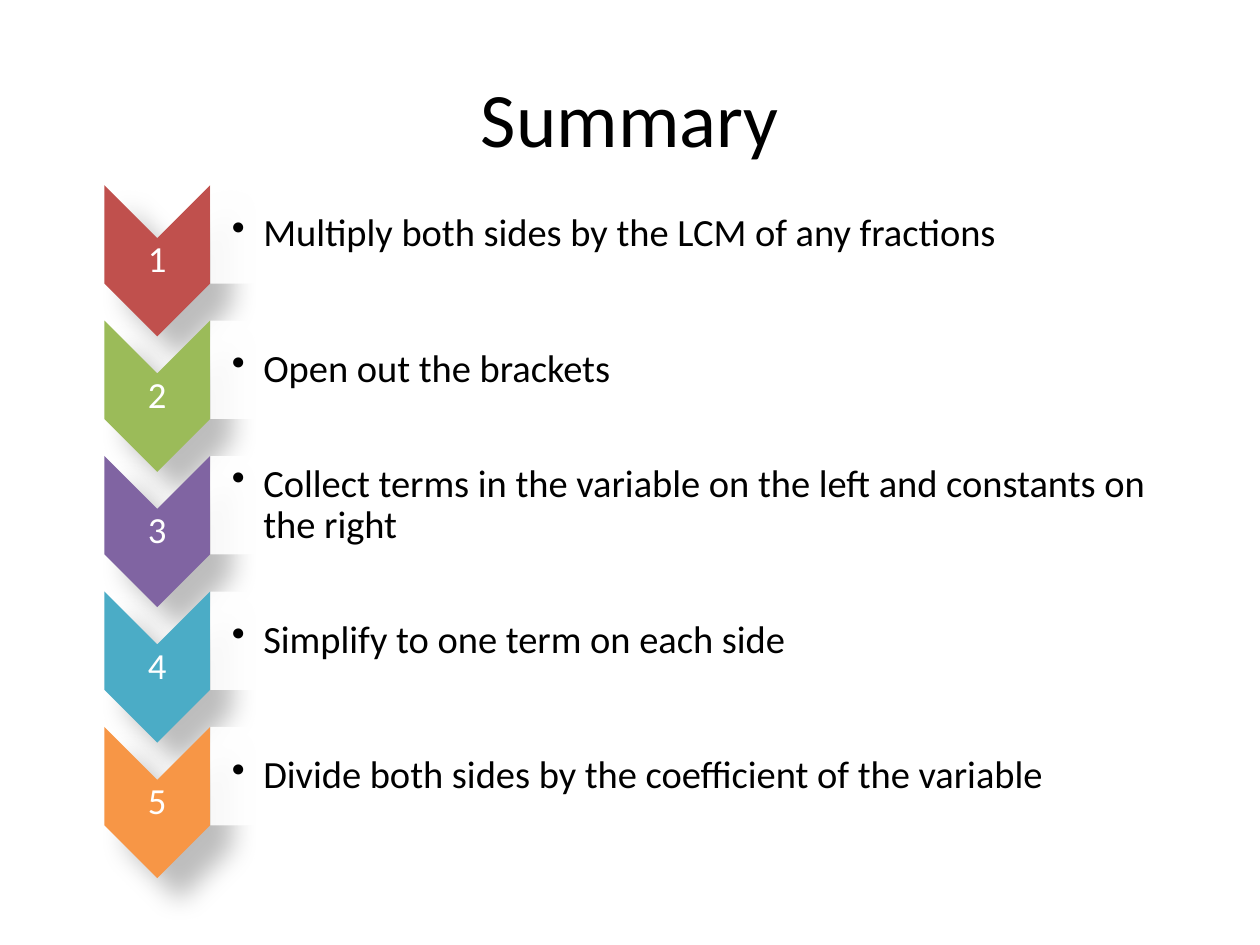
from dataclasses import dataclass

from lxml import etree
from pptx import Presentation
from pptx.dml.color import RGBColor
from pptx.enum.shapes import MSO_SHAPE
from pptx.enum.text import MSO_ANCHOR, PP_ALIGN
from pptx.oxml import parse_xml
from pptx.oxml.ns import nsdecls, qn
from pptx.util import Pt

CHEVRON = MSO_SHAPE.CHEVRON
ROUNDED = MSO_SHAPE.ROUND_2_SAME_RECTANGLE
MIDDLE = MSO_ANCHOR.MIDDLE
LEFT, CENTER = PP_ALIGN.LEFT, PP_ALIGN.CENTER


@dataclass(frozen=True)
class Theme:
    font: str = "Calibri"
    ink: str = "000000"
    paper: str = "FFFFFF"
    steps: tuple = ("C0504D", "9BBB59", "8064A2", "4BACC6", "F79646")
    title: float = 44
    body: float = 22
    label: float = 21


STEPS = (
    "Multiply both sides by the LCM of any fractions",
    "Open out the brackets",
    "Collect terms in the variable on the left and constants on the right",
    "Simplify to one term on each side",
    "Divide both sides by the coefficient of the variable",
)
TOP, PITCH = 105.8, 77.4
ARROW_X, ARROW_W, ARROW_H = 59.6, 60.5, 86.4
PANEL_X, PANEL_W, PANEL_H = 120.2, 557.3, 56.2


class Page:
    def __init__(self, slide, theme):
        self.slide = slide
        self.theme = theme

    def text(self, words, box, size, color, align=CENTER, inset=(0.7,) * 4,
             spacing=0.9, bullet=False):
        shape = self.slide.shapes.add_textbox(*map(Pt, box))
        frame = shape.text_frame
        frame.text = words
        frame.word_wrap = True
        frame.vertical_anchor = MIDDLE
        (frame.margin_left, frame.margin_top,
         frame.margin_right, frame.margin_bottom) = map(Pt, inset)
        para = frame.paragraphs[0]
        para.alignment = align
        para.line_spacing = spacing
        if bullet:
            props = para._p.get_or_add_pPr()
            props.set("marL", str(Pt(18)))
            props.set("indent", str(-Pt(18)))
            etree.SubElement(props, qn("a:buChar"), char="•")
        font = para.runs[0].font
        font.name = self.theme.font
        font.size = Pt(size)
        font.color.rgb = RGBColor.from_string(color)

    def turned(self, kind, box, color):
        """Add a shape turned a quarter clockwise that fills box as seen."""
        x, y, w, h = box
        shift = (w - h) / 2
        shape = self.slide.shapes.add_shape(
            kind, Pt(x + shift), Pt(y - shift), Pt(h), Pt(w))
        shape.rotation = 90
        shape.shadow.inherit = False
        shape.fill.solid()
        shape.fill.fore_color.rgb = RGBColor.from_string(color)
        shape.line.fill.background()
        return shape

    def arrow(self, box, color):
        shape = self.turned(CHEVRON, box, color)
        effects = shape._element.spPr.find(qn("a:effectLst"))
        effects.append(parse_xml(
            f'<a:outerShdw {nsdecls("a")} blurRad="{Pt(15)}" dist="{Pt(18)}"'
            ' dir="2700000" algn="tl" rotWithShape="0">'
            f'<a:srgbClr val="{self.theme.ink}"><a:alpha val="26000"/>'
            '</a:srgbClr></a:outerShdw>'))

    def panel(self, box):
        shape = self.turned(ROUNDED, box, self.theme.paper)
        color = shape._element.spPr.find(qn("a:solidFill"))[0]
        etree.SubElement(color, qn("a:alpha"), val="90000")

    def step(self, num, words, color):
        theme = self.theme
        top = TOP + (num - 1) * PITCH
        self.arrow((ARROW_X, top, ARROW_W, ARROW_H), color)
        self.text(str(num), (ARROW_X, top + 30.3, ARROW_W, 25.9),
                  theme.label, theme.paper)
        self.panel((PANEL_X, top, PANEL_W, PANEL_H))
        self.text(words, (PANEL_X, top + 2.7, 554.4, 51), theme.body,
                  theme.ink, LEFT, (12.3, 1.1, 1.1, 1.1), bullet=True)


def main():
    deck = Presentation()
    deck.slide_width, deck.slide_height = Pt(720), Pt(540)
    theme = Theme()
    page = Page(deck.slides.add_slide(deck.slide_layouts[6]), theme)
    page.text("Summary", (36, 21.6, 648, 90), theme.title, theme.ink,
              inset=(7.2, 3.6, 7.2, 3.6), spacing=1.0)
    for num, (words, color) in enumerate(zip(STEPS, theme.steps), 1):
        page.step(num, words, color)
    deck.save("out.pptx")


if __name__ == "__main__":
    main()
